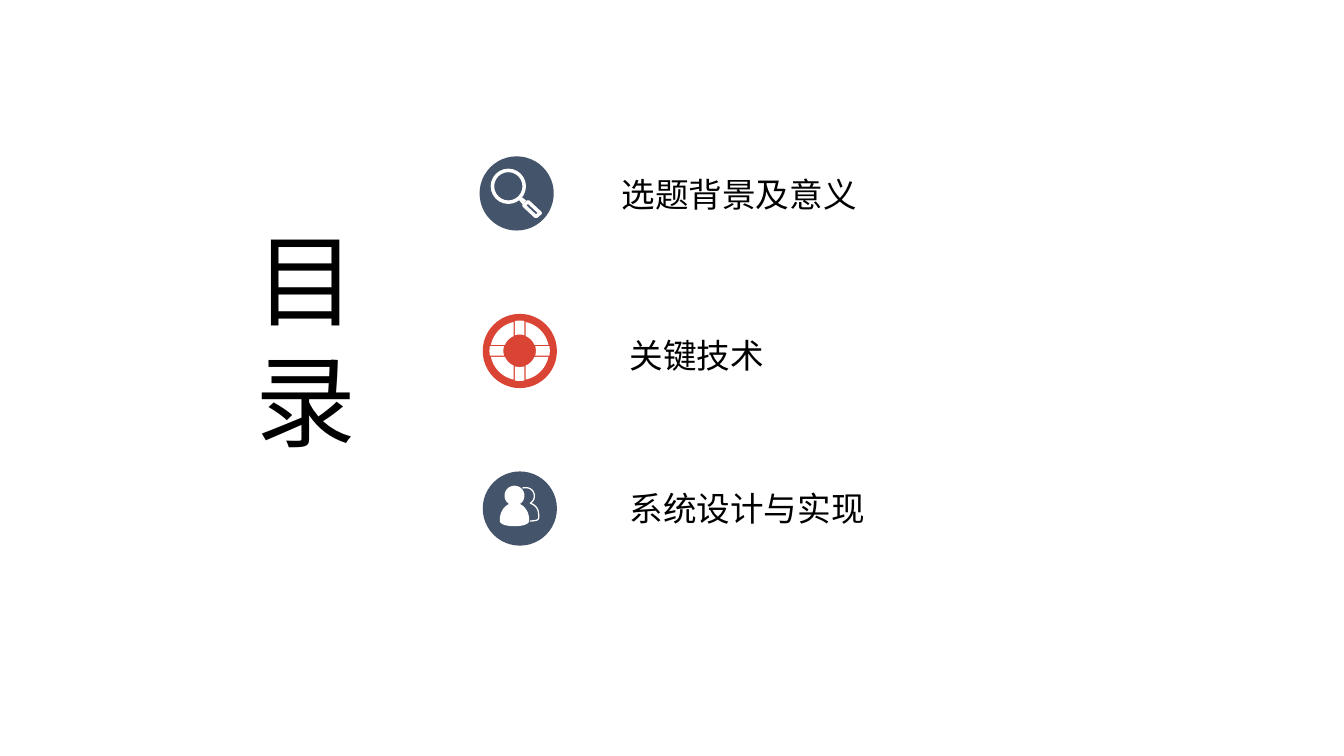
import math
from pptx import Presentation, util as u
from pptx.dml.color import RGBColor
from pptx.enum import shapes, text
from pptx.oxml import xmlchemy

NAVY = RGBColor(0x44, 0x54, 0x6A)
RED = RGBColor(0xDA, 0x44, 0x34)
WHITE = RGBColor(255, 255, 255)
BLACK = RGBColor(0, 0, 0)
OVAL, RING = shapes.MSO_SHAPE.OVAL, shapes.MSO_SHAPE.DONUT


class Deck:
    """Hold the style and the current slide, and draw each kind of element."""

    font = "Noto Sans CJK SC"
    disc = 1.87

    def __init__(self):
        """Open a wide deck with one title-only slide."""
        self.prs = Presentation()
        self.prs.slide_width, self.prs.slide_height = u.Cm(33.88), u.Cm(19.05)
        self.slide = self.prs.slides.add_slide(self.prs.slide_layouts[5])

    def letter(self, box, words, size, align, frame):
        """Fill a box with styled paragraphs."""
        tf = box.text_frame
        tf.text = words
        frame = {"auto_size": text.MSO_AUTO_SIZE.NONE,
                 "vertical_anchor": text.MSO_ANCHOR.TOP, **frame}
        for key, val in frame.items():
            setattr(tf, key, val)
        for par in tf.paragraphs:
            look = {"alignment": align, "line_spacing": u.Pt(size * 1.2),
                    "space_before": u.Pt(0)}
            for key, val in look.items():
                setattr(par, key, val)
            for run in par.runs:
                for key, val in {"name": self.font, "size": u.Pt(size)}.items():
                    setattr(run.font, key, val)
                run.font.color.rgb = BLACK
                east = xmlchemy.OxmlElement("a:ea")
                east.set("typeface", self.font)
                run.font._element.find("{*}latin").addnext(east)

    def title(self, words, left, top, wide, high):
        """Place the large stacked title."""
        box = self.slide.shapes.title
        spots = {"left": left, "top": top, "width": wide, "height": high}
        for key, val in spots.items():
            setattr(box, key, u.Cm(val))
        self.letter(box, words, 72, text.PP_ALIGN.CENTER, {
            "word_wrap": True, "margin_left": u.Cm(.25), "margin_right": u.Cm(.25),
            "margin_top": u.Cm(.31), "margin_bottom": u.Cm(0)})

    def label(self, words, left, top):
        """Place a one-line entry as wide as its words."""
        wide = .85 * len(words) + .66
        box = self.slide.shapes.add_textbox(*map(u.Cm, (left, top, wide, 1.35)))
        self.letter(box, words, 24, text.PP_ALIGN.LEFT, {
            "word_wrap": False, "margin_left": u.Cm(.33), "margin_right": u.Cm(.33),
            "margin_top": u.Cm(.24), "margin_bottom": u.Cm(.05)})

    def paint(self, shape, fill, line=None):
        """Give a shape a plain fill or a white line."""
        shape.shadow.inherit = False
        if line:
            shape.fill.background()
            shape.line.color.rgb, shape.line.width = WHITE, u.Pt(line)
        else:
            shape.fill.solid()
            shape.fill.fore_color.rgb = fill
            shape.line.fill.background()
        return shape

    def round(self, kind, left, top, size, fill):
        """Draw a preset shape in a square frame."""
        spot = map(u.Cm, (left, top, size, size))
        return self.paint(self.slide.shapes.add_shape(kind, *spot), fill)

    def trace(self, pts, line=None, close=True):
        """Draw a white outline through points in centimetres."""
        pts = [(x * 1000, y * 1000) for x, y in pts]
        form = self.slide.shapes.build_freeform(*pts[0], scale=u.Cm(1) / 1000)
        form.add_line_segments(pts[1:], close=close)
        return self.paint(form.convert_to_shape(), WHITE, line)

    def wedge(self, mid, inner, outer, half, turns):
        """Draw a ring sector between two arcs, cut by two parallel or square sides."""
        pts = []
        for rad, sides in ((outer, turns), (inner, turns[::-1])):
            edge = math.asin(half / rad)
            first, last = (base + sign * edge for base, sign in sides)
            for i in range(13):
                ang = first + (last - first) * i / 12
                pts.append((mid[0] + rad * math.cos(ang), mid[1] + rad * math.sin(ang)))
        self.trace(pts)


def curve(pts):
    """Return points along a chain of cubic curves."""
    chain = [pts[0]]
    for i in range(0, len(pts) - 1, 3):
        for n in range(1, 11):
            t = n / 10
            mix = ((1 - t) ** 3, 3 * t * (1 - t) ** 2, 3 * t * t * (1 - t), t ** 3)
            chain.append(tuple(sum(m * p[k] for m, p in zip(mix, pts[i:i + 4]))
                               for k in (0, 1)))
    return chain


def lens(deck):
    """Draw the magnifier."""
    deck.trace([(13.06, 5.01), (13.13, 4.95), (13.26, 5.05), (13.18, 5.16)])
    deck.trace([(13.21, 5.18), (13.31, 5.08), (13.62, 5.37), (13.51, 5.46)], 2.5)
    deck.round(RING, 12.37, 4.25, .89, WHITE).adjustments[0] = .1


def buoy(deck):
    """Draw the life buoy."""
    mid = (13.1, 8.84)
    for i in range(4):
        turn = i * math.pi / 2
        deck.wedge(mid, .4, .74, .15, [(turn, 1), (turn + math.pi / 2, -1)])
        deck.wedge(mid, .41, .76, .12, [(turn, -1), (turn, 1)])


def people(deck):
    """Draw the two people."""
    side = curve([(0, 0), (.13, 0), (.25, .1), (.25, .25), (.25, .34), (.2, .43),
                  (.13, .46), (.2, .48), (.38, .61), (.37, .89), (.37, .89),
                  (.37, 1.02), (0, 1.02)])
    body = side + [(-x, y) for x, y in side[-2:0:-1]]
    deck.trace([(12.97 + x, 12.24 + y) for x, y in body])
    deck.trace(curve([
        (13.17, 12.3), (13.2, 12.29), (13.23, 12.29), (13.26, 12.29),
        (13.39, 12.29), (13.47, 12.39), (13.47, 12.5), (13.47, 12.58),
        (13.43, 12.64), (13.37, 12.68), (13.49, 12.73), (13.58, 12.8),
        (13.58, 13), (13.59, 13.11), (13.54, 13.12), (13.36, 13.13)]), .9, False)


def main():
    """Build the contents slide."""
    deck = Deck()
    deck.title("目\n录", 6.05, 5.18, 3.33, 6.35)
    rows = [("选题背景及意义", 15.34, 4.14, 12.09, NAVY, lens),
            ("关键技术", 15.54, 8.2, 12.17, RED, buoy),
            ("系统设计与实现", 15.54, 12.06, 12.17, NAVY, people)]
    for i, (words, left, top, edge, fill, icon) in enumerate(rows):
        deck.round(OVAL, edge, 3.94 + i * 3.97, deck.disc, fill)
        icon(deck)
        deck.label(words, left, top)
    deck.prs.save("out.pptx")


if __name__ == "__main__":
    main()
